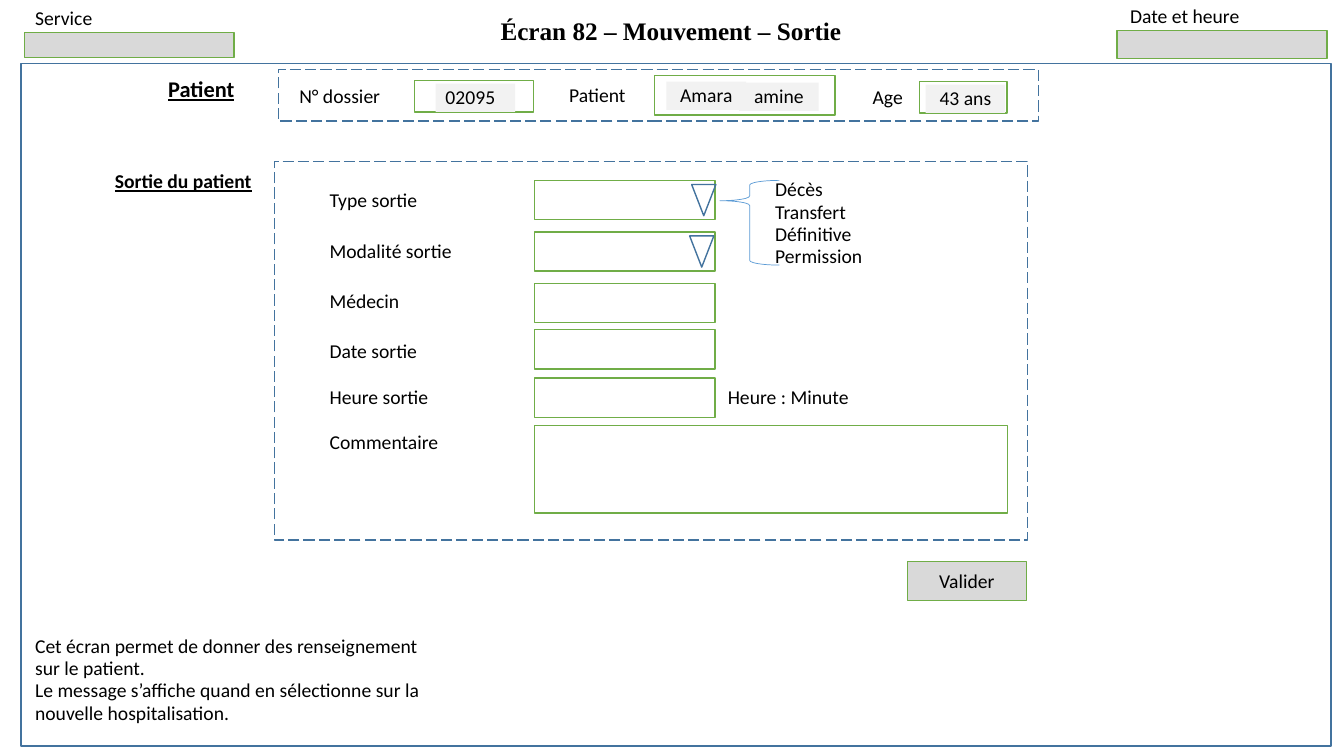
from dataclasses import dataclass

from pptx import Presentation
from pptx.dml.color import RGBColor
from pptx.enum.dml import MSO_LINE
from pptx.enum.shapes import MSO_SHAPE as Shape
from pptx.enum.text import MSO_ANCHOR as Anchor, PP_ALIGN as Align
from pptx.util import Pt

PX = 9144  # 100 px to the inch


@dataclass(frozen=True)
class Theme:
    blue: str = "43739E"
    brace: str = "5B9BD5"
    green: str = "70AD47"
    grey: str = "D9D9D9"
    pale: str = "F2F2F2"
    black: str = "000000"
    body_font: str = "Calibri"
    title_font: str = "Times New Roman"
    body: int = 14
    heading: int = 16
    title: int = 18


@dataclass(frozen=True)
class Box:
    left: int
    top: int
    width: int
    height: int

    def inside(self, left, top, width, height):
        """Return a box whose offset is measured from this one."""
        return Box(self.left + left, self.top + top, width, height)

    def emu(self):
        return [length * PX for length in (self.left, self.top, self.width, self.height)]


THEME = Theme()
PAGE = Box(0, 0, 1333, 750)


def write(frame, lines, size=THEME.body, font=THEME.body_font, align=Align.LEFT,
          anchor=Anchor.MIDDLE, spacing=0.95, bold=False, underline=False, wrap=True):
    frame.word_wrap = wrap
    frame.vertical_anchor = anchor
    for index, line in enumerate(lines):
        para = frame.add_paragraph() if index else frame.paragraphs[0]
        para.text = line
        para.alignment = align
        para.line_spacing = spacing
        para.font.size = Pt(size)
        para.font.name = font
        para.font.bold = bold
        para.font.underline = underline
        para.font.color.rgb = RGBColor.from_string(THEME.black)


def add_text(page, box, *lines, **style):
    write(page.shapes.add_textbox(*box.emu()).text_frame, lines, **style)


def add_figure(page, box, line=None, fill=None, kind=Shape.RECTANGLE, weight=1, dashed=False):
    figure = page.shapes.add_shape(kind, *box.emu())
    figure.shadow.inherit = False
    if fill:
        figure.fill.solid()
        figure.fill.fore_color.rgb = RGBColor.from_string(fill)
    else:
        figure.fill.background()
    if line:
        figure.line.color.rgb = RGBColor.from_string(line)
        figure.line.width = Pt(weight)
        if dashed:
            figure.line.dash_style = MSO_LINE.LONG_DASH
    else:
        figure.line.fill.background()
    return figure


def add_header(page, box):
    add_figure(page, box.inside(24, 32, 208, 25), THEME.green, THEME.grey)
    add_figure(page, box.inside(1108, 30, 208, 28), THEME.green, THEME.grey)
    add_text(page, box.inside(25, 1, 140, 34), "Service", anchor=Anchor.TOP, spacing=1)
    add_text(page, box.inside(1111, -1, 130, 34), "Date et heure",
             anchor=Anchor.TOP, spacing=1, wrap=False)
    add_text(page, box.inside(302, 10, 727, 41), "Écran 82 – Mouvement – Sortie",
             size=THEME.title, font=THEME.title_font, align=Align.CENTER,
             anchor=Anchor.BOTTOM, bold=True)


def add_patient_strip(page, box):
    add_text(page, box.inside(-119, -4, 118, 48), "Patient",
             size=THEME.heading, bold=True, underline=True)
    add_figure(page, box, THEME.blue, dashed=True)
    labels = (("N° dossier", 5, 6, 112), ("Patient", 264, 5, 105), ("Age", 574, 7, 61))
    for label, left, top, width in labels:
        add_text(page, box.inside(left, top, width, 43), label, align=Align.CENTER)
    for left, top, width, height in ((135, 11, 118, 31), (373, 6, 179, 39), (636, 12, 87, 31)):
        add_figure(page, box.inside(left, top, width, height), THEME.green)
    values = (("02095", 156, 14, Align.LEFT), ("Amara", 385, 12, Align.CENTER),
              ("amine", 457, 13, Align.CENTER), ("43 ans", 642, 15, Align.CENTER))
    for value, left, top, align in values:
        cell = add_figure(page, box.inside(left, top, 79, 28), fill=THEME.pale)
        write(cell.text_frame, [value], align=align)


def add_discharge_form(page, box):
    add_text(page, box.inside(-168, 1, 167, 39), "Sortie du patient", bold=True, underline=True)
    add_figure(page, box, THEME.blue, dashed=True)
    # label, label top, field top, field width, field height
    rows = (("Type sortie", 18, 19, 179, 39), ("Modalité sortie", 68, 70, 179, 39),
            ("Médecin", 118, 121, 179, 39), ("Date sortie", 168, 167, 179, 39),
            ("Heure sortie", 213, 215, 179, 39), ("Commentaire", 258, 262, 469, 87))
    for label, label_top, field_top, width, height in rows:
        add_text(page, box.inside(45, label_top, 205, 43), label)
        add_figure(page, box.inside(258, field_top, width, height), THEME.green)
    for left, top in ((414, 23), (412, 74)):
        arrow = add_figure(page, box.inside(left, top, 24, 31), THEME.blue,
                           kind=Shape.ISOSCELES_TRIANGLE)
        arrow.rotation = 180
    add_text(page, box.inside(440, 213, 140, 43), "Heure : Minute")
    brace = add_figure(page, box.inside(442, 19, 59, 84), THEME.brace,
                       kind=Shape.LEFT_BRACE, weight=0.5)
    brace.adjustments[0], brace.adjustments[1] = 0.08, 0.24
    add_text(page, box.inside(487, 10, 110, 104),
             "Décès", "Transfert", "Définitive", "Permission")


def add_footer(page, box):
    button = add_figure(page, box.inside(879, 0, 118, 39), THEME.green, THEME.grey)
    write(button.text_frame, ["Valider"], align=Align.CENTER, spacing=1)
    add_text(page, box.inside(4, 58, 427, 119),
             "Cet écran permet de donner des renseignement sur le patient.",
             "Le message s’affiche quand en sélectionne sur la nouvelle hospitalisation.")


def main():
    deck = Presentation()
    deck.slide_width, deck.slide_height = PAGE.width * PX, PAGE.height * PX
    page = deck.slides.add_slide(deck.slide_layouts[6])
    screen = PAGE.inside(21, 63, 1299, 677)
    add_figure(page, screen, THEME.blue)
    add_header(page, PAGE)
    add_patient_strip(page, screen.inside(255, 6, 754, 51))
    add_discharge_form(page, screen.inside(251, 97, 747, 376))
    add_footer(page, screen.inside(0, 494, 1299, 183))
    deck.save("out.pptx")


if __name__ == "__main__":
    main()
